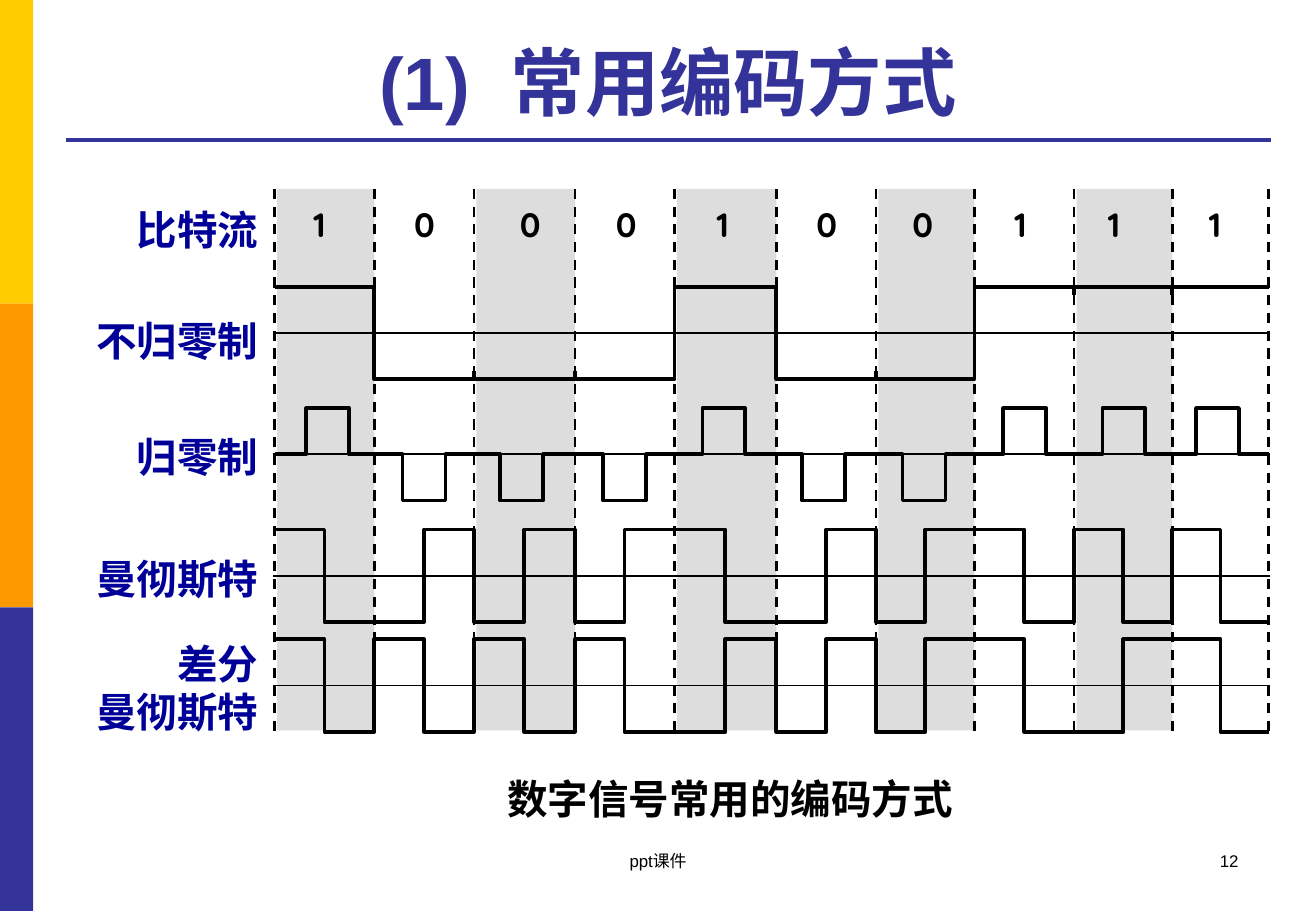
import pptx
import pptx.util
import pptx.dml.color
import pptx.enum.dml
import pptx.enum.shapes
import pptx.enum.text
from pptx.util import Pt
from lxml import etree

THEME = {
    "bands": ("FFCC00", "FF9900", "333399"),
    "title": "333399", "label": "000099", "ink": "000000", "shade": "DDDDDD",
    "font": "Arial", "digit_font": "Quicksand",
    "title_size": 44, "label_size": 24, "digit_size": 20, "footer_size": 10,
}
ALIGN = pptx.enum.text.PP_ALIGN
ANCHOR = pptx.enum.text.MSO_ANCHOR
RECTANGLE = pptx.enum.shapes.MSO_SHAPE.RECTANGLE
DRAWING = "{http://schemas.openxmlformats.org/drawingml/2006/main}"

deck = pptx.Presentation()
deck.slide_width, deck.slide_height = Pt(779.76), Pt(540)
page = deck.slides.add_slide(deck.slide_layouts[6])


def add_text(place, lines, size, color, align, font=THEME["font"], bold=True, wrap=True):
    box = page.shapes.add_textbox(*[Pt(value) for value in place])
    frame = box.text_frame
    frame.text = lines
    frame.word_wrap = wrap
    for para in frame.paragraphs:
        para.alignment = align
        for span in para.runs:
            span.font.name = font
            span.font.size = Pt(size)
            span.font.bold = bold
            span.font.color.rgb = pptx.dml.color.RGBColor.from_string(color)
    return box


def add_line(start, end, color, width):
    line = page.shapes.add_connector(
        pptx.enum.shapes.MSO_CONNECTOR.STRAIGHT, *[Pt(value) for value in start + end])
    line.line.color.rgb = pptx.dml.color.RGBColor.from_string(color)
    line.line.width = Pt(width)
    etree.SubElement(line._element.spPr, DRAWING + "effectLst")
    return line


edges = (162.7, 221.8, 280.8, 340.6, 399.6, 460, 519, 577.4, 636.5, 694.6, 751.7)
bits = (1, 0, 0, 0, 1, 0, 0, 1, 1, 1)
digit_lefts = (178.6, 238.3, 301, 357.8, 417.6, 476.6, 533.5, 594, 649.4, 709.2)
pulse_lefts = (181.5, 238.5, 296.4, 357.3, 416.2, 475.4, 534.8, 594.5, 653.2, 708.7)
pulse_width = 25.4
grid_top, grid_bottom = 110.2, 433.4
amplitude = 27.4
axes = {"nrz": 197.3, "rz": 269.3, "manchester": 341.3, "differential": 406.4}

rectangles = [(0, 180 * row, 19.6, 180, color) for row, color in enumerate(THEME["bands"])]
rectangles += [(edges[column] + 1.5, 112, edges[column + 1] - edges[column] - 1.5, 321,
                THEME["shade"]) for column in range(0, len(bits), 2)]
for left, top, width, height, color in rectangles:
    block = page.shapes.add_shape(RECTANGLE, Pt(left), Pt(top), Pt(width), Pt(height))
    block.shadow.inherit = False
    block.fill.solid()
    block.fill.fore_color.rgb = pptx.dml.color.RGBColor.from_string(color)
    block.line.fill.background()

add_line((39, 82.8), (753, 82.8), THEME["title"], 2.25)
title = add_text((39, 15.1, 713.5, 62.6), "(1)", THEME["title_size"], THEME["title"], ALIGN.CENTER)
title.text_frame.vertical_anchor = ANCHOR.BOTTOM
heading = title.text_frame.paragraphs[0]
for words in (" ", "常用编码方式"):
    span = heading.add_run()
    span.text = words
    span.font.name = THEME["font"]
    span.font.size = Pt(THEME["title_size"])
    span.font.bold = True
    span.font.color.rgb = pptx.dml.color.RGBColor.from_string(THEME["title"])
heading.runs[1]._r.get_or_add_rPr().set("spc", "1200")

for top, height, label in ((118, 36, "比特流"), (183.6, 36, "不归零制"), (252.7, 36, "归零制"),
                           (324.7, 36, "曼彻斯特"), (375.1, 65.5, "差分\n曼彻斯特")):
    add_text((46, top, 114, height), label, THEME["label_size"], THEME["label"], ALIGN.RIGHT)

for bit, left in zip(bits, digit_lefts):
    add_text((left, 117.4, 26.6, 31), str(bit), THEME["digit_size"], THEME["ink"],
             ALIGN.LEFT, font=THEME["digit_font"], wrap=False)

for edge in edges:
    divider = add_line((edge, grid_bottom), (edge, grid_top), THEME["ink"], 1.5)
    divider.line.dash_style = pptx.enum.dml.MSO_LINE.DASH
for axis in axes.values():
    add_line((162, axis), (752.4, axis), THEME["ink"], 1)

waves = {name: [] for name in axes}
phase = -1
for column, bit in enumerate(bits):
    start, end = edges[column], edges[column + 1]
    middle = (start + end) / 2
    level = 1 if bit else -1
    phase = phase if bit and column else -phase
    pulse_start = pulse_lefts[column]
    pulse_end = pulse_start + pulse_width
    waves["nrz"] += [(start, level), (end, level)]
    waves["rz"] += [(start, 0), (pulse_start, 0), (pulse_start, level),
                    (pulse_end, level), (pulse_end, 0), (end, 0)]
    for name, first in (("manchester", level), ("differential", phase)):
        waves[name] += [(start, first), (middle, first), (middle, -first), (end, -first)]
    phase = -phase
    if column and bit == bits[column - 1]:
        crest = axes["nrz"] - level * amplitude
        add_line((start, crest), (start, crest + level * 5), THEME["ink"], 2.25)

for name, steps in waves.items():
    points = [(Pt(x), Pt(axes[name] - level * amplitude)) for x, level in steps]
    outline = page.shapes.build_freeform(*points[0])
    outline.add_line_segments(points[1:], close=False)
    wave = outline.convert_to_shape()
    wave.shadow.inherit = False
    wave.fill.background()
    wave.line.color.rgb = pptx.dml.color.RGBColor.from_string(THEME["ink"])
    wave.line.width = Pt(2.25)

add_text((236.2, 455, 392.4, 36.7), "数字信号常用的编码方式", THEME["label_size"],
         THEME["ink"], ALIGN.CENTER)
add_text((558.7, 500.4, 182.2, 36), "12", THEME["footer_size"], THEME["ink"],
         ALIGN.RIGHT, bold=False)
add_text((266.4, 500.4, 247, 36), "ppt课件", THEME["footer_size"], THEME["ink"],
         ALIGN.CENTER, bold=False)

deck.save("out.pptx")
